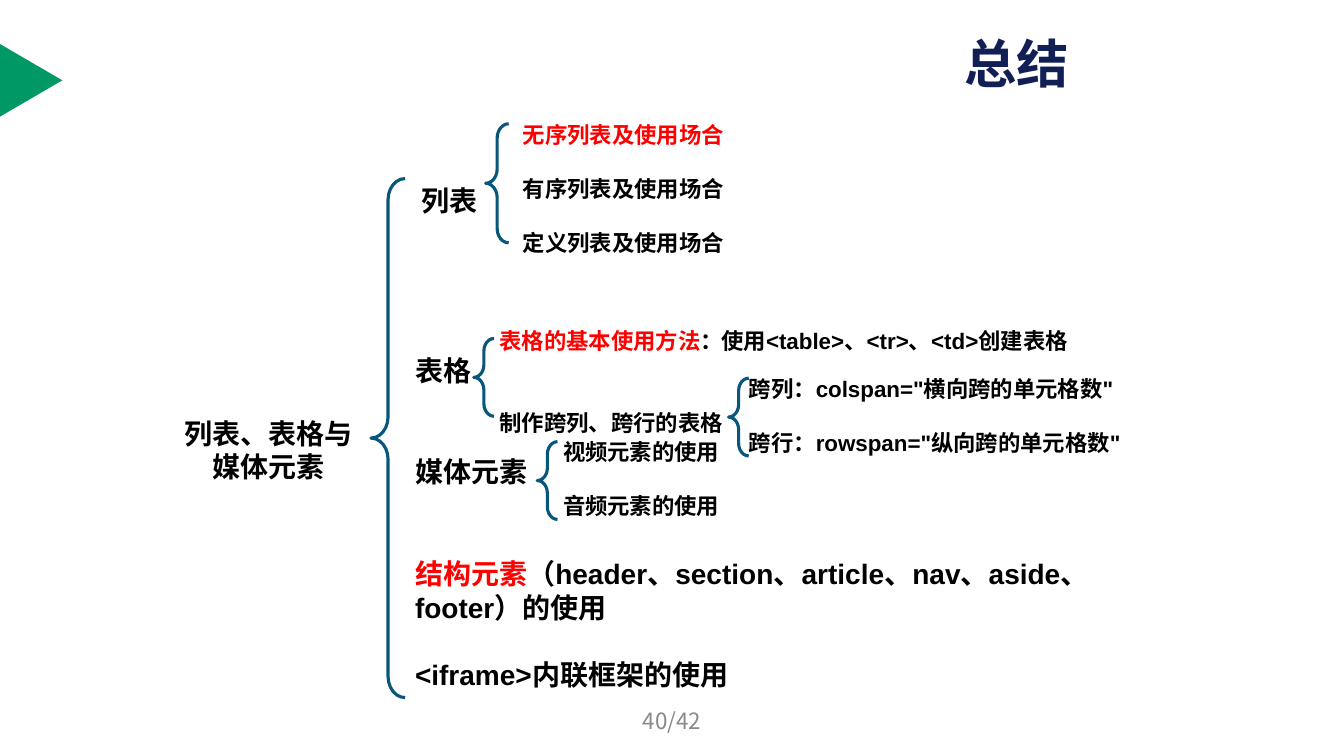
from pptx import Presentation
from pptx import util as u
from pptx.dml.color import RGBColor
from pptx.enum import shapes, text

BLACK = RGBColor(0x00, 0x00, 0x00)
RED = RGBColor(0xFF, 0x00, 0x00)
NAVY = RGBColor(0x12, 0x1F, 0x55)
TEAL = RGBColor(0x08, 0x57, 0x7A)
GREEN = RGBColor(0x00, 0x99, 0x66)
GREY = RGBColor(0x89, 0x89, 0x89)
BODY_FONT = "Arial"
DISPLAY_FONT = "Noto Sans CJK SC"
LINE_HEIGHT = 1.215

BRACES = [
    (9.35, 4.5, 0.86, 13.08),
    (12.24, 3.12, 0.58, 3.0),
    (11.94, 8.53, 0.51, 1.96),
    (18.36, 9.53, 0.51, 1.96),
    (13.54, 11.13, 0.51, 1.96),
]

TOPICS = [
    (0, [(" 列表", BLACK)]),
    (4, [("表格", BLACK)]),
    (2, [("媒体元素", BLACK)]),
    (2, [("结构元素", RED),
         ("（header、section、article、nav、aside、footer）的使用", BLACK)]),
    (1, [("<iframe>内联框架的使用", BLACK)]),
]
LIST_ITEMS = [
    (0, [("无序列表及使用场合", RED)]),
    (1, [("有序列表及使用场合", BLACK)]),
    (1, [("定义列表及使用场合", BLACK)]),
]
TABLE_ITEMS = [
    (0, [("表格的基本使用方法", RED), ("：", BLACK)]),
    (2, [("制作跨列、跨行的表格", BLACK)]),
]
TABLE_TAGS = [(0, [("使用<table>、<tr>、<td>创建表格", BLACK)])]
SPAN_ITEMS = [
    (0, [('跨列：colspan="横向跨的单元格数"', BLACK)]),
    (1, [('跨行：rowspan="纵向跨的单元格数"', BLACK)]),
]
MEDIA_ITEMS = [
    (0, [("视频元素的使用", BLACK)]),
    (1, [("音频元素的使用", BLACK)]),
]
ROOT = [(0, [("列表、表格与媒体元素", BLACK)])]
PAGE_NUMBER = [(0, [("40/42", GREY)])]


def to_cm(box):
    return [u.Cm(value) for value in box]


def style_paragraph(paragraph, size, font, bold, align):
    paragraph.font.size = u.Pt(size)
    paragraph.font.name = font
    paragraph.font.bold = bold
    paragraph.alignment = align


def add_title(slide, box, words):
    title = slide.shapes.title
    title.left, title.top, title.width, title.height = to_cm(box)
    frame = title.text_frame
    frame.text = words
    frame.auto_size = text.MSO_AUTO_SIZE.NONE
    frame.vertical_anchor = text.MSO_ANCHOR.MIDDLE
    paragraph = frame.paragraphs[0]
    style_paragraph(paragraph, 37.4, DISPLAY_FONT, True, text.PP_ALIGN.LEFT)
    paragraph.font.color.rgb = NAVY


def add_text(slide, box, lines, size=16, font=BODY_FONT, bold=True,
             align=text.PP_ALIGN.LEFT, anchor=text.MSO_ANCHOR.TOP):
    frame = slide.shapes.add_textbox(*to_cm(box)).text_frame
    frame.word_wrap = True
    frame.vertical_anchor = anchor
    for index, (gap, runs) in enumerate(lines):
        paragraph = frame.add_paragraph() if index else frame.paragraphs[0]
        style_paragraph(paragraph, size, font, bold, align)
        paragraph.space_before = u.Pt(gap * size * LINE_HEIGHT)
        for words, color in runs:
            run = paragraph.add_run()
            run.text = words
            run.font.color.rgb = color


def add_brace(slide, box):
    brace = slide.shapes.add_shape(shapes.MSO_SHAPE.LEFT_BRACE, *to_cm(box))
    brace.shadow.inherit = False
    brace.adjustments[0] = 0.62
    brace.fill.background()
    brace.line.color.rgb = TEAL
    brace.line.width = u.Pt(2.25)


def add_marker(slide, box):
    marker = slide.shapes.add_shape(
        shapes.MSO_SHAPE.ISOSCELES_TRIANGLE, *to_cm(box))
    marker.shadow.inherit = False
    marker.rotation = 90
    marker.fill.solid()
    marker.fill.fore_color.rgb = GREEN
    marker.line.fill.background()


def main():
    presentation = Presentation()
    presentation.slide_width = u.Cm(33.87)
    presentation.slide_height = u.Cm(19.05)
    slide = presentation.slides.add_slide(presentation.slide_layouts[5])

    add_marker(slide, (-0.13, 1.24, 1.83, 1.57))
    add_title(slide, (24.05, 0.76, 4.32, 1.63), "总结")
    for box in BRACES:
        add_brace(slide, box)

    add_text(slide, (4.24, 10.36, 5.05, 1.96), ROOT, size=20,
             align=text.PP_ALIGN.CENTER)
    add_text(slide, (10.21, 4.5, 18.21, 13.08), TOPICS, size=20)
    add_text(slide, (12.93, 2.92, 10.46, 3.68), LIST_ITEMS)
    add_text(slide, (12.34, 8.13, 6.76, 3.0), TABLE_ITEMS)
    add_text(slide, (17.93, 8.13, 10.46, 0.94), TABLE_TAGS)
    add_text(slide, (18.62, 9.32, 10.46, 2.31), SPAN_ITEMS)
    add_text(slide, (13.94, 10.92, 10.46, 2.31), MEDIA_ITEMS)
    add_text(slide, (11.58, 17.65, 10.72, 1.02), PAGE_NUMBER,
             font=DISPLAY_FONT, bold=False, align=text.PP_ALIGN.CENTER,
             anchor=text.MSO_ANCHOR.MIDDLE)

    presentation.save("out.pptx")


if __name__ == "__main__":
    main()
